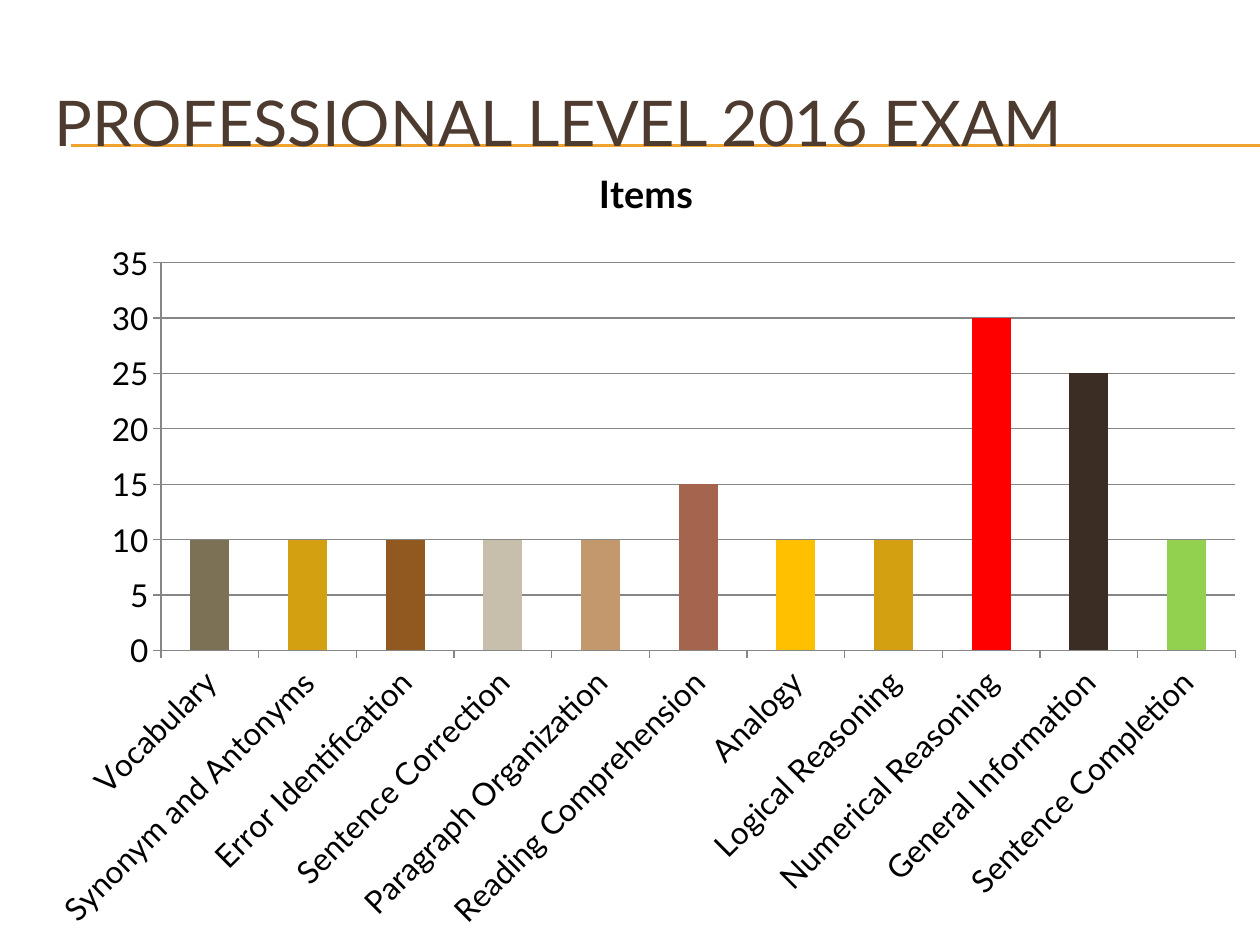
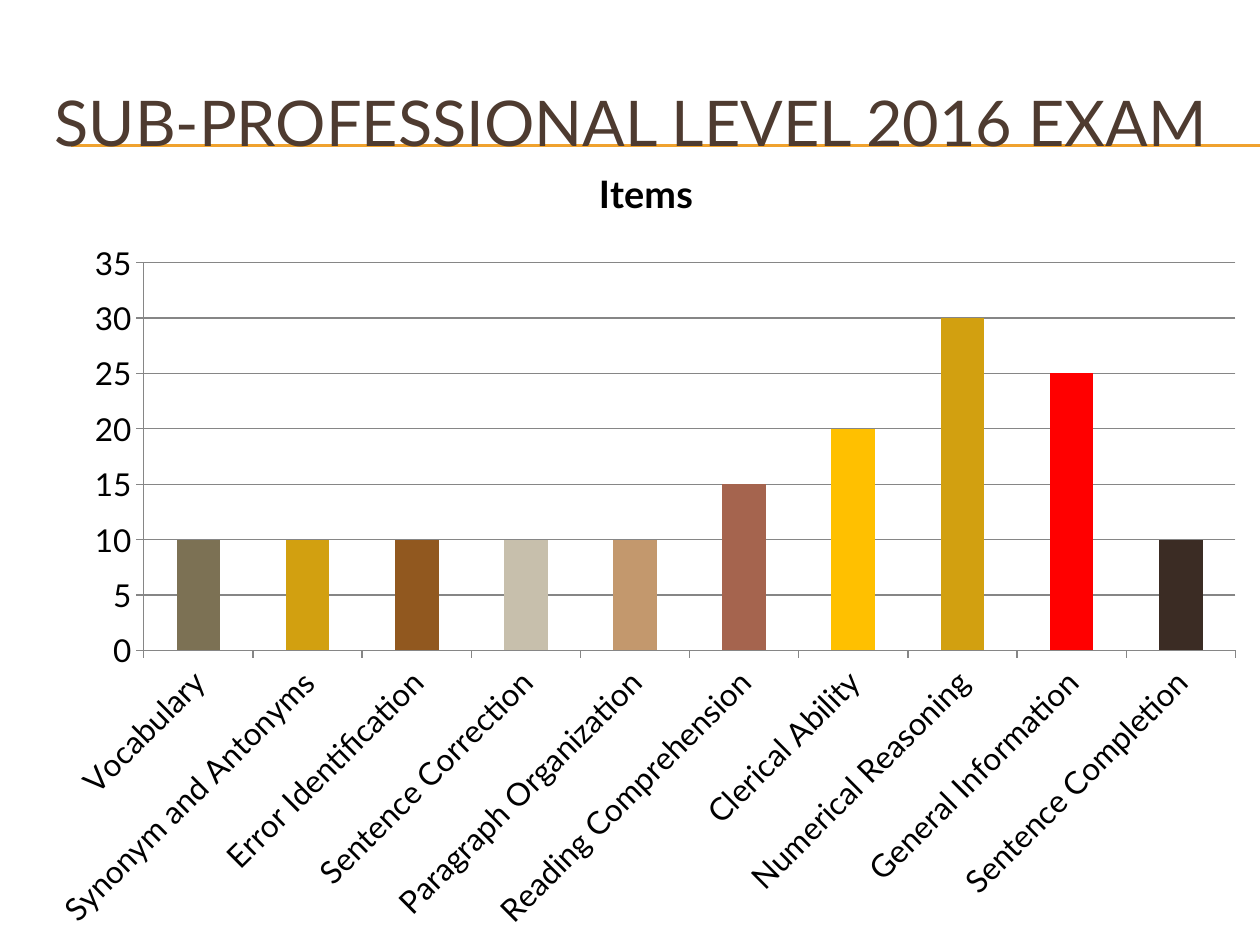
from lxml import etree
from pptx import Presentation
from pptx import util as u
from pptx.chart.data import CategoryChartData
from pptx.dml.color import RGBColor
from pptx.enum import chart as ch, shapes, text
from pptx.oxml.ns import qn

PX = 914400 / 126
FONT = "Lato"
HUES = {
    "title": "4E3B30", "rule": "F0A22E", "text": "000000", "grid": "868686",
    "olive": "7C7154", "gold": "D2A010", "brown": "91581F", "sand": "C7BFAC",
    "tan": "C3986D", "rust": "A5644E", "amber": "FFC000", "red": "FF0000",
    "dark": "3B2C24", "green": "92D050",
}
BARS = ["olive", "gold", "brown", "sand", "tan", "rust",
        "amber", "gold", "red", "dark", "green"]
BASE = [("Vocabulary", 10), ("Synonym and Antonyms", 10),
        ("Error Identification", 10), ("Sentence Correction", 10),
        ("Paragraph Organization", 10), ("Reading Comprehension", 15)]
LAST = [("Numerical Reasoning", 30), ("General Information", 25),
        ("Sentence Completion", 10)]
EXAMS = {
    "PROFESSIONAL LEVEL 2016 EXAM":
        BASE + [("Analogy", 10), ("Logical Reasoning", 10)] + LAST,
    "SUB-PROFESSIONAL LEVEL 2016 EXAM":
        BASE + [("Clerical Ability", 20)] + LAST,
}


def px(*vals):
    """Turn whole pixels into EMU."""
    return [u.Emu(round(v * PX)) for v in vals]


def hue(name):
    """Look up a colour."""
    return RGBColor.from_string(HUES[name])


def style(font, size, color, bold=False):
    """Set the face, size, weight and colour of a font."""
    font.name, font.size, font.bold = FONT, u.Pt(size), bold
    font.color.rgb = hue(color)


def add_rules(slide, left, right, tops):
    """Draw the thin title rules behind everything else."""
    for i, top in enumerate(tops):
        rule = slide.shapes.add_connector(
            shapes.MSO_CONNECTOR.STRAIGHT, *px(left, top, right, top))
        rule.line.color.rgb = hue("rule")
        rule.line.width = u.Pt(0.75)
        etree.SubElement(rule._element.spPr, qn("a:effectLst"))
        slide.shapes._spTree.insert(2 + i, rule._element)


def add_title(slide, box, words):
    """Place and format the title placeholder."""
    title = slide.shapes.title
    title.left, title.top, title.width, title.height = px(*box)
    frame = title.text_frame
    frame.word_wrap = True
    frame.auto_size = text.MSO_AUTO_SIZE.NONE
    frame.vertical_anchor = text.MSO_ANCHOR.MIDDLE
    para = frame.paragraphs[0]
    para.alignment = text.PP_ALIGN.LEFT
    run = para.add_run()
    run.text = words
    style(run.font, 36, "title")


def style_axes(chart):
    """Format both axes and the value grid."""
    for axis in (chart.category_axis, chart.value_axis):
        axis.major_tick_mark = ch.XL_TICK_MARK.OUTSIDE
        axis.minor_tick_mark = ch.XL_TICK_MARK.NONE
        axis.format.line.color.rgb = hue("grid")
        style(axis.tick_labels.font, 18, "text")
    names = chart.category_axis._element.find(qn("c:txPr"))
    names.find(qn("a:bodyPr")).set("rot", "-2700000")
    scale = chart.value_axis
    scale.minimum_scale, scale.maximum_scale, scale.major_unit = 0, 35, 5
    scale.has_major_gridlines = True
    scale.major_gridlines.format.line.color.rgb = hue("grid")


def add_items(slide, box, items):
    """Chart the number of items in each part of the exam."""
    data = CategoryChartData()
    data.categories = [name for name, count in items]
    data.add_series("Items", [count for name, count in items])
    chart = slide.shapes.add_chart(
        ch.XL_CHART_TYPE.COLUMN_CLUSTERED, *px(*box), data).chart
    style(chart.font, 18, "text")
    chart.has_legend = False
    chart.has_title = True
    run = chart.chart_title.text_frame.paragraphs[0].add_run()
    run.text = "Items"
    style(run.font, 21.6, "text", True)
    chart.chart_title.include_in_layout = False
    style_axes(chart)
    plot = chart.plots[0]
    plot.gap_width = 150
    plot.vary_by_categories = False
    bars = plot.series[0]
    bars.format.fill.solid()
    bars.format.fill.fore_color.rgb = hue("rule")
    for i, (item, name) in enumerate(zip(items, BARS)):
        fill = bars.points[i].format.fill
        fill.solid()
        fill.fore_color.rgb = hue(name)


def add_exam(deck, words, items):
    """Build one exam slide."""
    slide = deck.slides.add_slide(deck.slide_layouts[5])
    slide.background.fill.solid()
    slide.background.fill.fore_color.rgb = RGBColor(255, 255, 255)
    add_rules(slide, 71, 1260, (145, 146))
    add_title(slide, (42, 63, 1197, 116), words)
    add_items(slide, (32, 136, 1228, 809), items)


def main():
    """Build and save the deck."""
    deck = Presentation()
    deck.slide_width, deck.slide_height = px(1260, 945)
    for words, items in EXAMS.items():
        add_exam(deck, words, items)
    deck.save("out.pptx")


if __name__ == "__main__":
    main()
